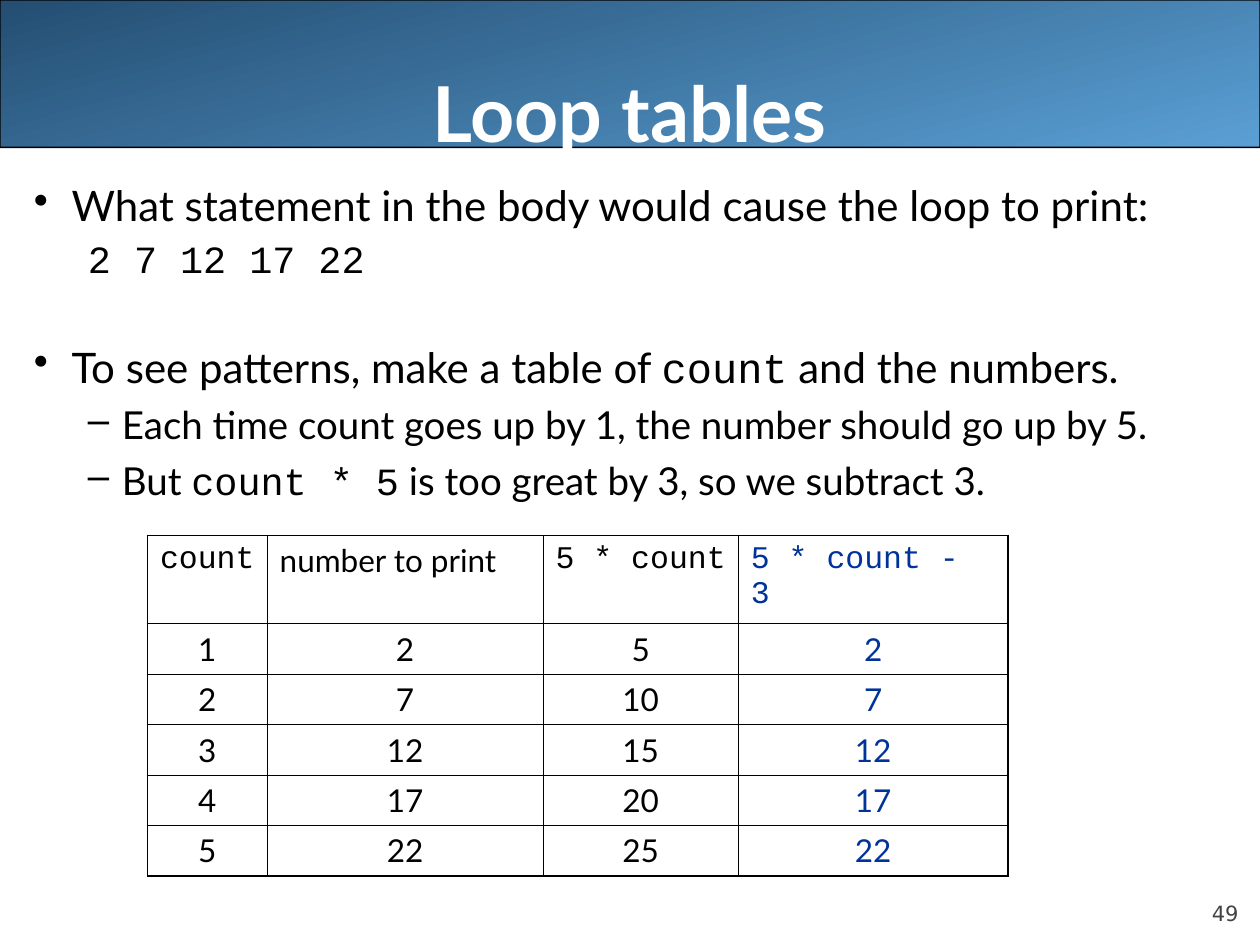
"""Build the "Loop tables" slide with its pattern tables."""
from dataclasses import dataclass

from lxml import etree
from pptx import Presentation
from pptx.dml.color import RGBColor
from pptx.enum import shapes, text
from pptx.oxml.ns import qn
from pptx.util import Inches, Pt


@dataclass(frozen=True)
class Theme:
    """Colours, fonts and type sizes."""
    black: str = "000000"
    white: str = "FFFFFF"
    answer: str = "003399"
    page: str = "424242"
    band_dark: str = "244E72"
    band_light: str = "5A9FD4"
    body: str = "Lato"
    code: str = "Courier New"
    number: str = "DejaVu Sans"
    title_size: float = 44
    point_size: float = 24
    detail_size: float = 22
    cell_size: float = 18
    page_size: float = 12
    thick: float = 1.08
    thin: float = 0.45


THEME = Theme()


@dataclass(frozen=True)
class Level:
    """Indents and type size of one outline level."""
    depth: int
    left: float
    hanging: float
    size: float


POINT = Level(0, 0.3, 0.3, THEME.point_size)
DETAIL = Level(1, 0.7, 0.27, THEME.detail_size)


@dataclass(frozen=True)
class Line:
    """One outline line; every second phrase is code."""
    level: Level
    phrases: tuple[str, ...]
    bullet: str = ""
    before: float = 6
    spacing: float = 1.0


@dataclass(frozen=True)
class Column:
    """One table column with its heading and values."""
    heading: str
    width: float
    values: tuple[int, ...]
    font: str = THEME.code


@dataclass(frozen=True)
class Grid:
    """One table; its left rule may be thin."""
    left: float
    columns: tuple[Column, ...]
    color: str
    left_rule: float = THEME.thick


LINES = (
    Line(POINT, ("What statement in the body would cause the loop to print:",), "•", spacing=0.9),
    Line(DETAIL, ("", "2 7 12 17 22"), before=5.5, spacing=0.9),
    Line(POINT, ("To see patterns, make a table of ", "count", " and the numbers."), "•", before=34),
    Line(DETAIL, ("Each time count goes up by 1, the number should go up by 5.",), "–", before=5.5),
    Line(DETAIL, ("But ", "count * 5", " is too great by 3, so we subtract 3."), "–", before=5.5),
)

COUNTS = tuple(range(1, 6))
PRINTED = tuple(5 * count - 3 for count in COUNTS)
GRIDS = (
    Grid(1.17, (
        Column("count", 0.95, COUNTS),
        Column("number to print", 2.19, PRINTED, THEME.body),
        Column("5 * count", 1.55, tuple(5 * count for count in COUNTS)),
    ), THEME.black),
    Grid(5.86, (Column("5 * count - 3", 2.14, PRINTED),), THEME.answer, THEME.thin),
)


def style(font, name: str, size: float, color: str, bold: bool = False) -> None:
    """Set the typeface, size, colour and weight of a font."""
    font.name, font.size, font.bold = name, Pt(size), bold
    font.color.rgb = RGBColor.from_string(color)


def add_band(slide) -> None:
    """Draw the gradient band behind the title."""
    band = slide.shapes.add_shape(
        shapes.MSO_SHAPE.ROUNDED_RECTANGLE, 0, 0, Inches(10), Inches(1.17))
    band.adjustments[0] = 0.001
    band.shadow.inherit = False
    band.fill.gradient()
    band.fill.gradient_angle = 285
    for stop, color in zip(band.fill.gradient_stops, (THEME.band_dark, THEME.band_light)):
        stop.color.rgb = RGBColor.from_string(color)
    band.line.color.rgb = RGBColor.from_string(THEME.black)
    band.line.width = Pt(0.75)
    slide.shapes._spTree.insert(2, band._element)


def set_title(slide, wording: str) -> None:
    """Place and format the title placeholder."""
    title = slide.shapes.title
    title.left, title.top, title.width, title.height = map(Inches, (0.5, 0, 9, 1.25))
    frame = title.text_frame
    frame.text = wording
    frame.auto_size = text.MSO_AUTO_SIZE.NONE
    frame.vertical_anchor = text.MSO_ANCHOR.BOTTOM
    frame.margin_left = frame.margin_right = frame.margin_bottom = 0
    frame.margin_top = Inches(0.05)
    frame.paragraphs[0].alignment = text.PP_ALIGN.CENTER
    style(frame.paragraphs[0].font, THEME.body, THEME.title_size, THEME.white, True)


def add_page_number(slide, number: str) -> None:
    """Write the page number at the lower right."""
    frame = slide.shapes.add_textbox(*map(Inches, (9, 6.95, 0.83, 0.4))).text_frame
    frame.word_wrap = True
    frame.vertical_anchor = text.MSO_ANCHOR.BOTTOM
    frame.margin_left = frame.margin_right = frame.margin_top = frame.margin_bottom = 0
    frame.text = number
    frame.paragraphs[0].alignment = text.PP_ALIGN.RIGHT
    style(frame.paragraphs[0].font, THEME.number, THEME.page_size, THEME.page)


def write_line(paragraph, line: Line) -> None:
    """Write one outline line with its bullet and indents."""
    level = line.level
    paragraph.level = level.depth
    properties = paragraph._p.get_or_add_pPr()
    properties.set("marL", str(Inches(level.left)))
    properties.set("indent", str(-Inches(level.hanging)))
    if line.bullet:
        etree.SubElement(properties, qn("a:buChar"), char=line.bullet)
    paragraph.space_before = Pt(line.before)
    paragraph.line_spacing = line.spacing
    all_code = not line.phrases[0]
    style(paragraph.font, THEME.code if all_code else THEME.body, level.size, THEME.black)
    for index, phrase in enumerate(line.phrases):
        if phrase:
            run = paragraph.add_run()
            run.text = phrase
            if index % 2 and not all_code:
                run.font.name = THEME.code


def add_outline(slide) -> None:
    """Write the outline above the tables."""
    frame = slide.shapes.add_textbox(*map(Inches, (0.17, 1.42, 9.83, 5.67))).text_frame
    frame.word_wrap = True
    for index, line in enumerate(LINES):
        write_line(frame.add_paragraph() if index else frame.paragraphs[0], line)


def rule_cell(cell, widths: dict[str, float]) -> None:
    """Clear the fill and rule the four sides of a cell."""
    cell.fill.background()
    properties = cell._tc.get_or_add_tcPr()
    for index, (side, width) in enumerate(widths.items()):
        rule = etree.Element(qn(f"a:ln{side}"), w=str(Pt(width)))
        fill = etree.SubElement(rule, qn("a:solidFill"))
        etree.SubElement(fill, qn("a:srgbClr"), val=THEME.black)
        properties.insert(index, rule)


def add_grid(slide, grid: Grid) -> None:
    """Draw one ruled table."""
    heights = (0.7,) + (0.4,) * len(COUNTS)
    width = sum(column.width for column in grid.columns)
    table = slide.shapes.add_table(
        len(heights), len(grid.columns), Inches(grid.left), Inches(4.25),
        Inches(width), Inches(sum(heights))).table
    table.first_row = table.horz_banding = False
    for row, height in zip(table.rows, heights):
        row.height = Inches(height)
    last_row, last_column = len(heights) - 1, len(grid.columns) - 1
    for x, column in enumerate(grid.columns):
        table.columns[x].width = Inches(column.width)
        for y, entry in enumerate((column.heading, *column.values)):
            cell = table.cell(y, x)
            cell.text = str(entry)
            paragraph = cell.text_frame.paragraphs[0]
            paragraph.space_before = Pt(4.5)
            paragraph.alignment = text.PP_ALIGN.CENTER if y else text.PP_ALIGN.LEFT
            style(paragraph.font, THEME.body if y else column.font, THEME.cell_size, grid.color)
            rule_cell(cell, {
                "L": THEME.thin if x else grid.left_rule,
                "R": THEME.thick if x == last_column else THEME.thin,
                "T": THEME.thin if y else THEME.thick,
                "B": THEME.thick if y == last_row else THEME.thin,
            })


def main() -> None:
    """Build and save the slide."""
    deck = Presentation()
    deck.slide_width, deck.slide_height = Inches(10), Inches(7.5)
    slide = deck.slides.add_slide(deck.slide_layouts[5])
    add_band(slide)
    set_title(slide, "Loop tables")
    add_page_number(slide, "49")
    add_outline(slide)
    for grid in GRIDS:
        add_grid(slide, grid)
    deck.save("out.pptx")


if __name__ == "__main__":
    main()
